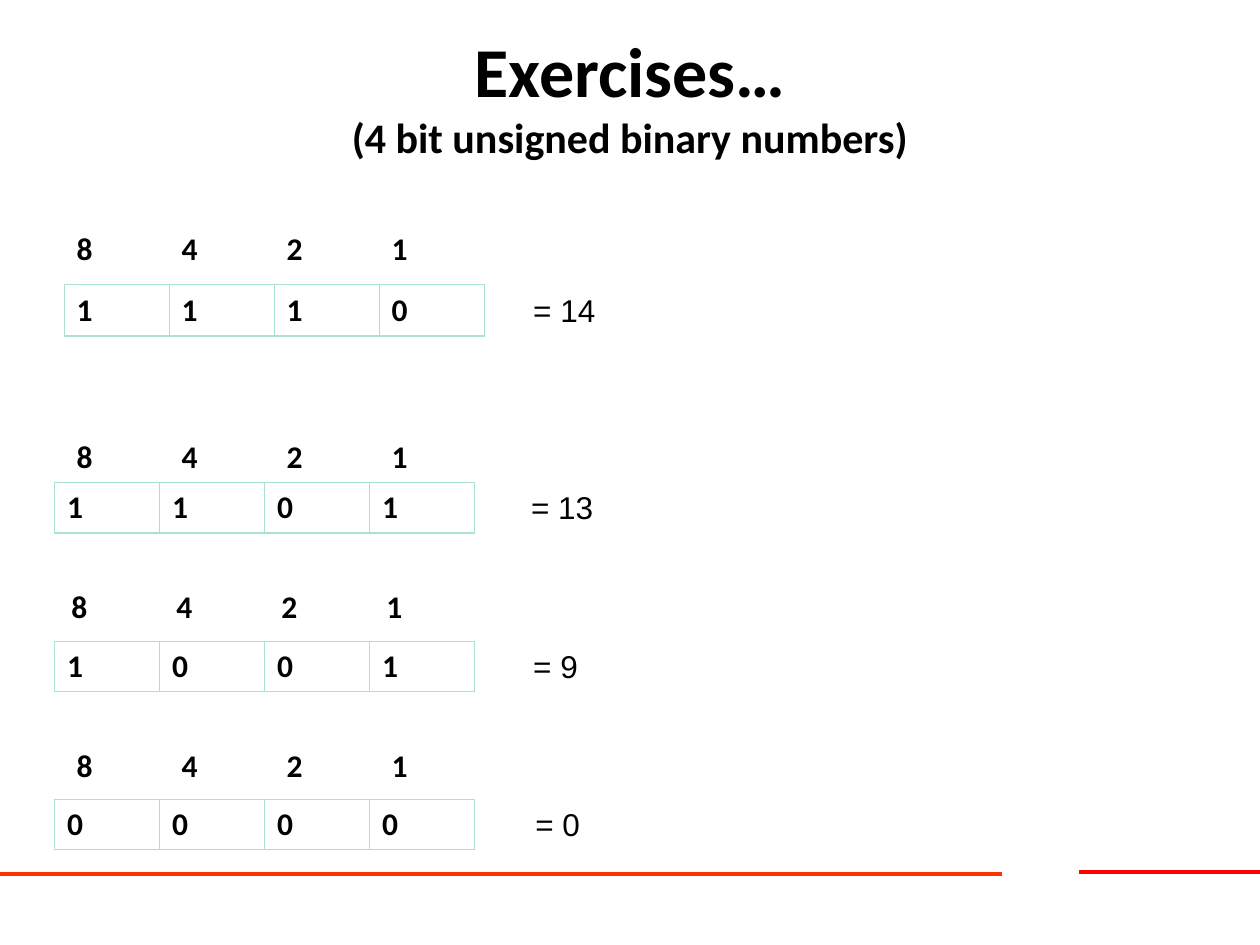
"""Build the slide of exercises on 4 bit unsigned binary numbers."""
from lxml.etree import SubElement
from pptx import Presentation
from pptx.dml.color import RGBColor
from pptx.enum.shapes import MSO_CONNECTOR
from pptx.enum.text import MSO_ANCHOR, MSO_AUTO_SIZE, PP_ALIGN
from pptx.oxml.ns import qn
from pptx.util import Inches, Pt

BLACK = RGBColor(0, 0, 0)
WHITE = RGBColor(255, 255, 255)
MINT = RGBColor(0xAA, 0xE2, 0xCA)
RED = RGBColor(255, 0, 0)
ORANGE = RGBColor(0xFF, 0x33, 0)

deck = Presentation()
deck.slide_width, deck.slide_height = Inches(10), Inches(7.5)
COL = deck.slide_width / 12
ROW = Inches(0.4)
slide = deck.slides.add_slide(deck.slide_layouts[5])


def add_run(para, text, size, face="Calibri", bold=True):
    run = para.add_run()
    run.text = text
    font = run.font
    font.name, font.size, font.bold = face, Pt(size), bold
    font.color.rgb = BLACK


def add_bits(digits, left, top, edge):
    frame = slide.shapes.add_table(
        1, 4, int(left * COL), int(top * ROW), int(4 * COL), ROW)
    table = frame.table
    table.first_row = table.horz_banding = False
    for cell, digit in zip(table.rows[0].cells, digits):
        props = cell._tc.get_or_add_tcPr()
        for side, width in zip("LRTB", (0.45, 0.45, 0.45, 0.96)):
            line = SubElement(props, qn(f"a:ln{side}"), w=str(Pt(width)))
            fill = SubElement(line, qn("a:solidFill"))
            SubElement(fill, qn("a:srgbClr"), val=str(edge))
        cell.fill.background()
        add_run(cell.text_frame.paragraphs[0], digit, 18)


for start, end, row, color in [(10.28, 12, 17.3, RED), (0, 9.54, 17.35, ORANGE)]:
    rule = slide.shapes.add_connector(
        MSO_CONNECTOR.STRAIGHT, int(start * COL), int(row * ROW),
        int(end * COL), int(row * ROW))
    rule.line.color.rgb, rule.line.width = color, Pt(2.25)
    SubElement(rule._element.spPr, qn("a:effectLst"))

title = slide.shapes.title
title.left, title.top = int(0.9 * COL), int(0.7 * ROW)
title.width, title.height = int(10.2 * COL), int(3.12 * ROW)
frame = title.text_frame
frame.word_wrap = True
frame.auto_size = MSO_AUTO_SIZE.NONE
frame.vertical_anchor = MSO_ANCHOR.MIDDLE
frame.margin_bottom = Inches(0.35)
para = frame.paragraphs[0]
para.alignment = PP_ALIGN.CENTER
add_run(para, "Exercises…", 40)
para.add_line_break()
add_run(para, "(4 bit unsigned binary numbers)", 24)

tasks = [
    ("1110", 0.61, 4.45, 0.61, 5.65, 4.96, 1.22),
    ("1101", 0.61, 8.57, 0.52, 9.57, 4.94, 0.83),
    ("1001", 0.56, 11.55, 0.52, 12.72, 4.96, 0.76),
    ("0000", 0.61, 14.7, 0.52, 15.85, 4.98, 0.76),
]
for bits, head, above, left, top, right, width in tasks:
    add_bits("8421", head, above, WHITE)
    add_bits(bits, left, top, MINT)
    box = slide.shapes.add_textbox(
        int(right * COL), int(top * ROW), int(width * COL), ROW)
    frame = box.text_frame
    frame.word_wrap = True
    frame.auto_size = MSO_AUTO_SIZE.SHAPE_TO_FIT_TEXT
    add_run(frame.paragraphs[0], f"= {int(bits, 2)}", 18, "Arial", False)

deck.save("out.pptx")
